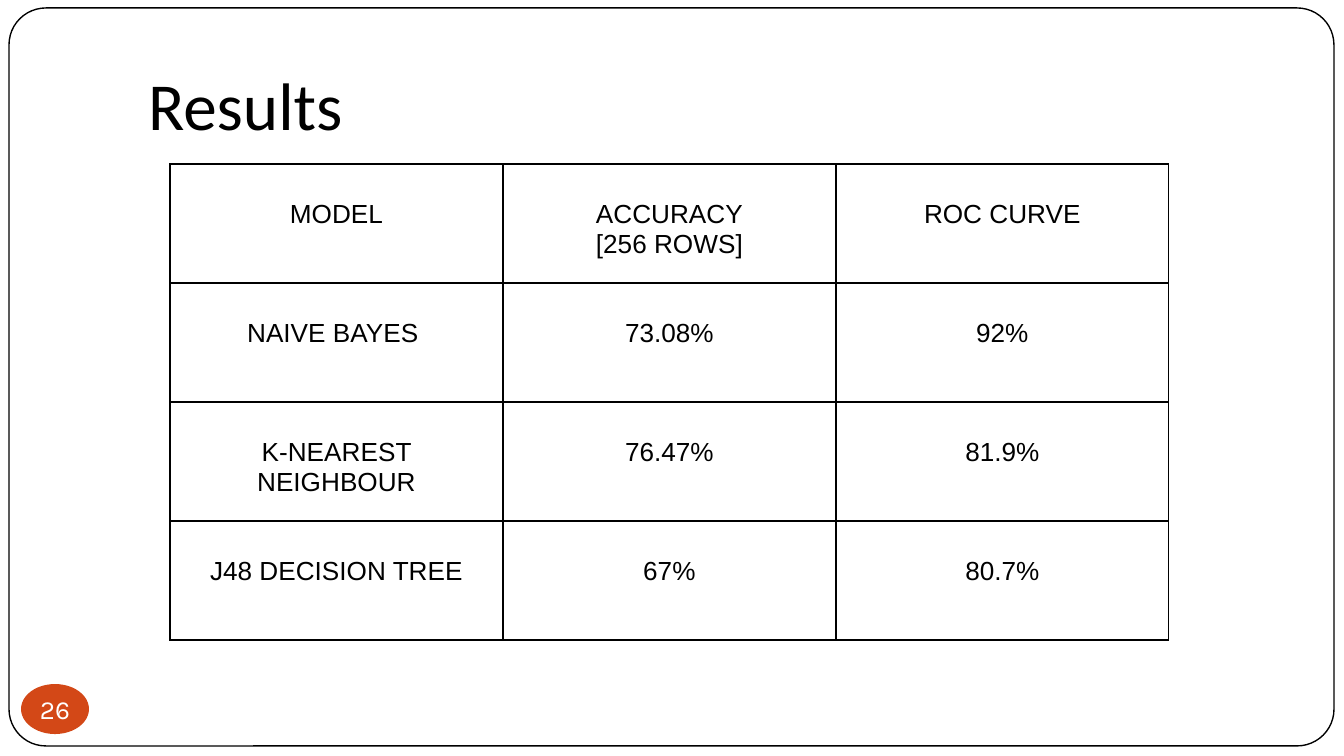
from lxml.etree import SubElement
from pptx import Presentation
from pptx.dml.color import RGBColor
from pptx.enum.shapes import MSO_SHAPE as Shape
from pptx.enum.text import MSO_ANCHOR as Anchor, MSO_AUTO_SIZE as Fit, PP_ALIGN as Align
from pptx.oxml.ns import qn
from pptx.util import Pt

PX = 6804  # EMU in one px, at 134.4 px to the inch
BLACK = RGBColor(0, 0, 0)
WHITE = RGBColor(255, 255, 255)
ORANGE = RGBColor(0xD3, 0x48, 0x17)

ROWS = [
    ["MODEL", "ACCURACY\n[256 ROWS]", "ROC CURVE"],
    ["NAIVE BAYES ", "73.08%", "92%"],
    ["K-NEAREST NEIGHBOUR", "76.47%", "81.9%"],
    ["J48 DECISION TREE", "67%", "80.7%"],
]


def scale(*box):
    return [n * PX for n in box]


def style(frame, font, size, color, align):
    for para in frame.paragraphs:
        para.alignment = align
        for run in para.runs:
            run.font.name = font
            run.font.size = Pt(size)
            run.font.color.rgb = color


def add_shape(slide, kind, box, fill):
    shape = slide.shapes.add_shape(kind, *scale(*box))
    shape.shadow.inherit = False
    shape.fill.solid()
    shape.fill.fore_color.rgb = fill
    return shape


def add_frame(slide, box):
    """Draw the rounded page border behind the title."""
    frame = add_shape(slide, Shape.ROUNDED_RECTANGLE, box, WHITE)
    frame.adjustments[0] = 0.05
    frame.line.color.rgb = BLACK
    frame.line.width = Pt(0.75)
    slide.shapes.title.element.addprevious(frame.element)


def add_title(slide, box, text):
    title = slide.shapes.title
    title.left, title.top, title.width, title.height = scale(*box)
    frame = title.text_frame
    frame.text = text
    frame.auto_size = Fit.NONE
    frame.vertical_anchor = Anchor.BOTTOM
    frame.margin_left = frame.margin_right = 13 * PX
    frame.margin_top = frame.margin_bottom = 13 * PX
    style(frame, "Calibri", 36, BLACK, Align.LEFT)


def add_badge(slide, box, text):
    """Draw the page number in its oval."""
    badge = add_shape(slide, Shape.OVAL, box, ORANGE)
    badge.line.fill.background()
    frame = badge.text_frame
    frame.text = text
    frame.word_wrap = False
    frame.vertical_anchor = Anchor.MIDDLE
    frame.margin_left = frame.margin_right = 0
    frame.margin_top = frame.margin_bottom = 0
    style(frame, "Karla", 14, WHITE, Align.CENTER)


def add_borders(cell):
    props = cell._tc.get_or_add_tcPr()
    for side in ("a:lnL", "a:lnR", "a:lnT", "a:lnB"):
        line = SubElement(props, qn(side), w=str(Pt(0.75)))
        fill = SubElement(line, qn("a:solidFill"))
        SubElement(fill, qn("a:srgbClr"), val=str(BLACK))


def add_grid(slide, box, rows):
    x, y, wide, high = box
    table = slide.shapes.add_table(len(rows), len(rows[0]), *scale(*box)).table
    table.first_row = table.horz_banding = False
    for col in table.columns:
        col.width = wide * PX // len(rows[0])
    for row, texts in zip(table.rows, rows):
        row.height = high * PX // len(rows)
        for cell, text in zip(row.cells, texts):
            cell.text_frame.text = text
            cell.margin_top = 36 * PX
            add_borders(cell)
            cell.fill.background()
            style(cell.text_frame, "Arial", 14, BLACK, Align.CENTER)


def main():
    deck = Presentation()
    deck.slide_width, deck.slide_height = scale(1344, 756)
    slide = deck.slides.add_slide(deck.slide_layouts[5])
    add_frame(slide, (9, 8, 1325, 738))
    add_title(slide, (135, 31, 1142, 126), "Results")
    add_badge(slide, (21, 684, 68, 50), "26")
    add_grid(slide, (170, 164, 999, 476), ROWS)
    deck.save("out.pptx")


if __name__ == "__main__":
    main()
